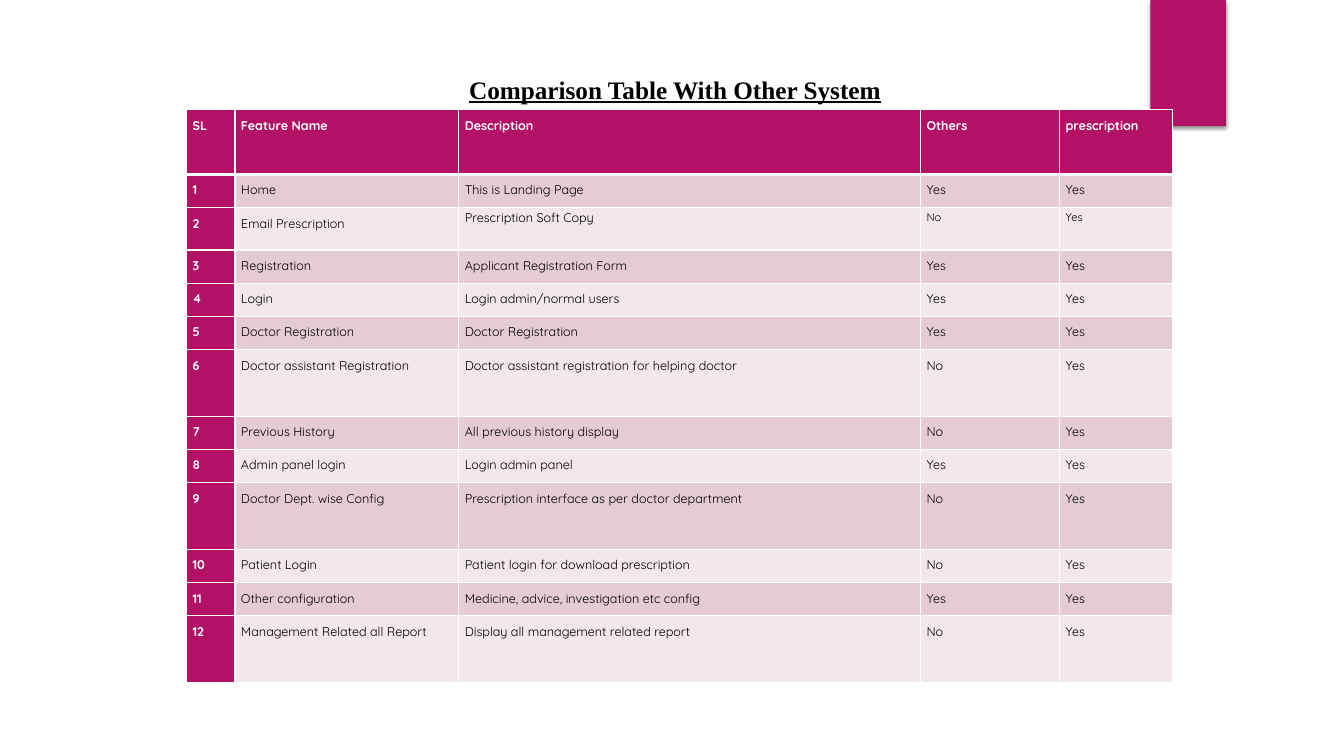
from lxml import etree
from pptx import Presentation
from pptx.dml.color import RGBColor
from pptx.enum.shapes import MSO_SHAPE
from pptx.enum.text import MSO_AUTO_SIZE, PP_ALIGN
from pptx.oxml import parse_xml
from pptx.util import Inches, Pt

# Content
TITLE = "Comparison Table With Other System"
HEAD = ("SL", "Feature Name", "Description", "Others", "prescription")
FEATURES = [
    ("Home", "This is Landing Page", "Yes", "Yes"),
    ("Email Prescription", "Prescription Soft Copy", "No", "Yes"),
    ("Registration", "Applicant Registration Form", "Yes", "Yes"),
    ("Login", "Login admin/normal users", "Yes", "Yes"),
    ("Doctor Registration", "Doctor Registration", "Yes", "Yes"),
    ("Doctor assistant Registration",
     "Doctor assistant registration for helping doctor", "No", "Yes"),
    ("Previous History", "All previous history display", "No", "Yes"),
    ("Admin panel login", "Login admin panel", "Yes", "Yes"),
    ("Doctor Dept. wise Config",
     "Prescription interface as per doctor department", "No", "Yes"),
    ("Patient Login", "Patient login for download prescription", "No", "Yes"),
    ("Other configuration", "Medicine, advice, investigation etc config",
     "Yes", "Yes"),
    ("Management Related all Report",
     "Display all management related report", "No", "Yes"),
]
COLORS = {"accent": "B31166", "odd": "E5CCD3", "even": "F2E7EA",
          "white": "FFFFFF", "black": "000000"}
WIDTHS = (0.48, 2.22, 4.58, 1.38, 1.12)
ROW = 0.33
HEIGHTS = {0: 0.64, 2: 0.42, 6: 2 * ROW, 9: 2 * ROW, 12: 2 * ROW}
EMAIL = 2  # this row is set tighter than the others
NS = "http://schemas.openxmlformats.org/drawingml/2006/main"


def rgb(name):
    return RGBColor.from_string(COLORS[name])


def write(frame, text, font="Quicksand", size=9, color="black", bold=False,
          line=None, align=None, before=None, after=None, under=None):
    para = frame.paragraphs[0]
    para.alignment, para.line_spacing = align, line
    if before is not None:
        para.space_before = Pt(before)
    if after is not None:
        para.space_after = Pt(after)
    run = para.add_run()
    run.text = text
    face = run.font
    face.name, face.size, face.bold, face.underline = font, Pt(size), bold, under
    face.color.rgb = rgb(color)


def border(cell, **widths):
    """Draw white borders; widths are points by side letter L, R, T, B."""
    props = cell._tc.get_or_add_tcPr()
    for i, side in enumerate("LRTB"):
        props.insert(i, parse_xml(
            f'<a:ln{side} xmlns:a="{NS}" w="{Pt(widths.get(side, 1))}">'
            f'<a:solidFill><a:srgbClr val="{COLORS["white"]}"/></a:solidFill>'
            f'</a:ln{side}>'))


def add_shadow(shape):
    shape.shadow.inherit = False
    effects = shape._element.spPr.find(f"{{{NS}}}effectLst")
    outer = etree.SubElement(effects, f"{{{NS}}}outerShdw", blurRad=str(Pt(3)),
                             dist=str(Pt(2)), dir="5400000", rotWithShape="0")
    tint = etree.SubElement(outer, f"{{{NS}}}srgbClr", val=COLORS["black"])
    etree.SubElement(tint, f"{{{NS}}}alpha", val="45000")


def add_table(slide):
    rows = [HEAD] + [(str(n), *row) for n, row in enumerate(FEATURES, 1)]
    heights = [HEIGHTS.get(r, ROW) for r in range(len(rows))]
    table = slide.shapes.add_table(
        len(rows), len(HEAD), Inches(1.85), Inches(1.09),
        Inches(sum(WIDTHS)), Inches(sum(heights))).table
    for col, width in zip(table.columns, WIDTHS):
        col.width = Inches(width)
    for r, row in enumerate(rows):
        table.rows[r].height = Inches(heights[r])
        for c, text in enumerate(row):
            cell = table.cell(r, c)
            strong = r == 0 or c == 0
            tight = r == EMAIL and c >= 2
            cell.margin_left = cell.margin_right = Inches(0.06)
            cell.margin_top = cell.margin_bottom = 0
            cell.fill.solid()
            cell.fill.fore_color.rgb = rgb(
                "accent" if strong else "odd" if r % 2 else "even")
            border(cell, T=3 if r == 1 else 1, B=3 if r == 0 else 1)
            write(cell.text_frame, text, bold=strong,
                  color="white" if strong else "black",
                  size=8 if tight and c >= 3 else 9,
                  line=1.15 if tight else 1.5, before=10 if tight else 0)


def main():
    deck = Presentation()
    deck.slide_width, deck.slide_height = Inches(13.33), Inches(7.5)
    slide = deck.slides.add_slide(deck.slide_layouts[6])

    # Corner tab
    tab = slide.shapes.add_shape(MSO_SHAPE.RECTANGLE, Inches(11.41), 0,
                                 Inches(0.75), Inches(1.25))
    tab.fill.solid()
    tab.fill.fore_color.rgb = rgb("accent")
    tab.line.fill.background()
    add_shadow(tab)

    # Title
    box = slide.shapes.add_textbox(Inches(4.53), Inches(0.64),
                                   Inches(4.33), Inches(0.45))
    box.text_frame.word_wrap = False
    box.text_frame.auto_size = MSO_AUTO_SIZE.SHAPE_TO_FIT_TEXT
    write(box.text_frame, TITLE, font="Times New Roman", size=18, bold=True,
          under=True, line=1.15, after=10, align=PP_ALIGN.CENTER)

    # Comparison table
    add_table(slide)
    deck.save("out.pptx")


if __name__ == "__main__":
    main()
